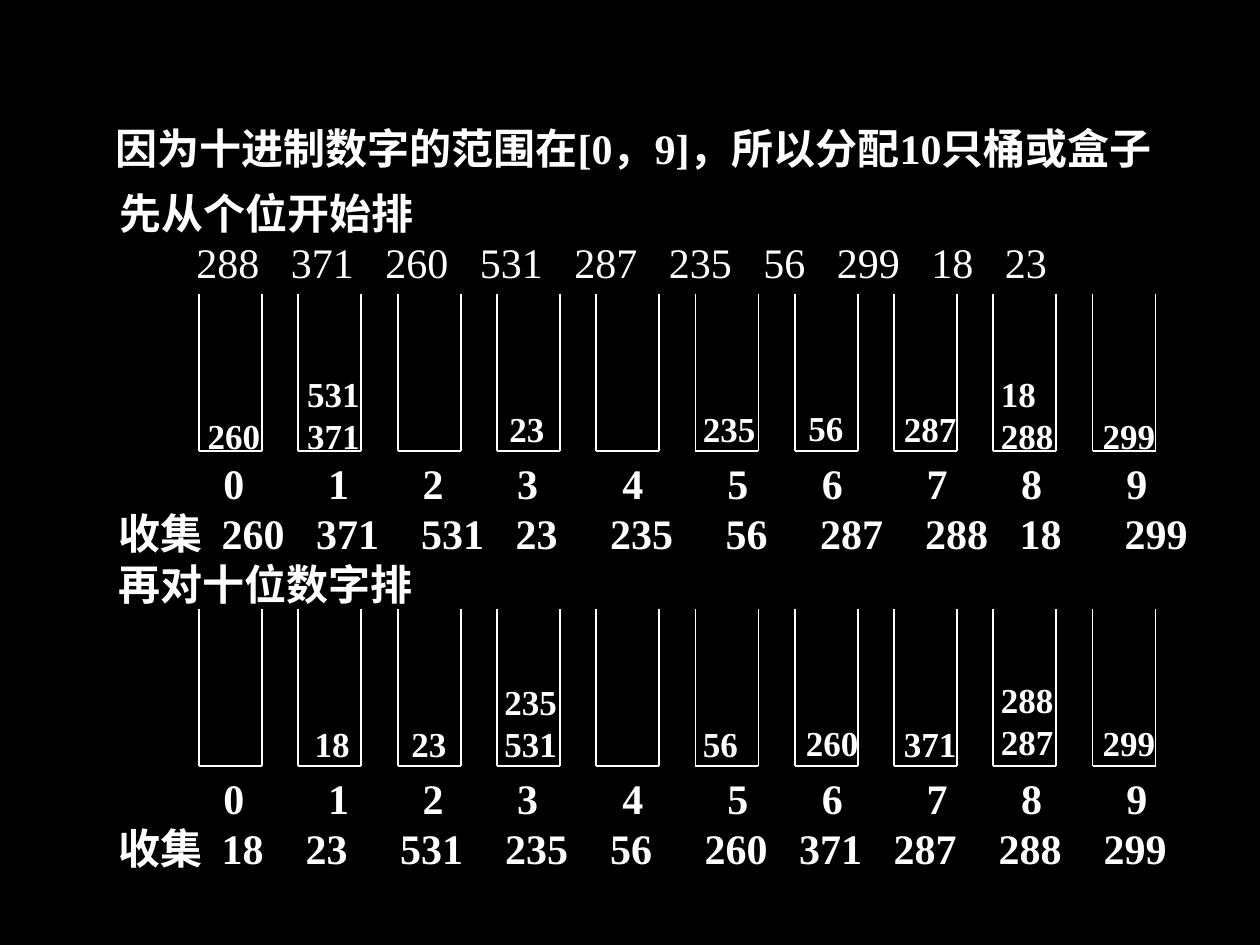
from itertools import accumulate

from lxml.etree import SubElement
from pptx import Presentation
from pptx.dml.color import RGBColor
from pptx.enum.text import MSO_ANCHOR
from pptx.oxml.ns import qn
from pptx.util import Inches, Pt

COLORS = {"background": "000000", "chalk": "FFFFFF"}
FONT = "Times New Roman"
LINE_RATIO = 1.2        # line height as a share of the font size
SPACE = 6 / 72          # width of a space at 24 pt; a digit is twice as wide

# Grid of ten buckets
BUCKET_LEFT, BUCKET_PITCH = 1.58, 0.788
BUCKET_WIDTH, BUCKET_HEIGHT = 0.5, 1.25
PASS_TOPS = (2.33, 4.83)
TEXT_LEFT = 0.84
COLLECT_START = 9.84    # first collected number, in spaces

# Bucket contents: (bucket, shift right, drop below the floor, numbers)
UNITS_CONTENTS = [
    (0, -0.03, 0.09, ["260"]), (1, -0.03, 0.09, ["531", "371"]),
    (3, 0, 0.04, ["23"]), (5, -0.04, 0.04, ["235"]),
    (6, 0.01, 0.03, ["56"]), (7, -0.02, 0.04, ["287"]),
    (8, -0.04, 0.09, ["18", "288"]), (9, -0.02, 0.09, ["299"]),
]
TENS_CONTENTS = [
    (1, 0.03, 0.04, ["18"]), (2, 0.01, 0.04, ["23"]),
    (3, -0.04, 0.04, ["235", "531"]), (5, -0.04, 0.04, ["56"]),
    (6, -0.01, 0.03, ["260"]), (7, -0.02, 0.04, ["371"]),
    (8, -0.04, 0.02, ["288", "287"]), (9, -0.02, 0.03, ["299"]),
]


def color(name):
    return RGBColor.from_string(COLORS[name])


def tabbed_row(values, gaps, start=0, heading=""):
    """Return a row's text and tab stops; start and gaps count spaces."""
    values = values.split()
    steps = [2 * len(value) + gap for value, gap in zip(values, gaps)]
    stops = [stop * SPACE for stop in accumulate(steps, initial=start)]
    text = "\t".join(values)
    if start:
        return heading + "\t" + text, stops
    return text, stops[1:]


def add_tab_stops(paragraph, stops):
    tab_list = SubElement(paragraph._p.get_or_add_pPr(), qn("a:tabLst"))
    for stop in stops:
        SubElement(tab_list, qn("a:tab"), pos=str(Inches(stop)), algn="l")


def add_text(shapes, left, top, width, rows, size=24, bold=True):
    """Add a text box; each row is a string and its tab stops."""
    height = 0.1 + len(rows) * size * LINE_RATIO / 72
    box = shapes.add_textbox(Inches(left), Inches(top), Inches(width), Inches(height))
    frame = box.text_frame
    frame.word_wrap = True
    frame.margin_right = 0
    frame.vertical_anchor = MSO_ANCHOR.TOP
    for index, (text, stops) in enumerate(rows):
        paragraph = frame.paragraphs[0] if index == 0 else frame.add_paragraph()
        paragraph.text = text
        paragraph.line_spacing = Pt(size * LINE_RATIO)
        paragraph.font.name = FONT
        paragraph.font.size = Pt(size)
        paragraph.font.bold = bold
        paragraph.font.color.rgb = color("chalk")
        if stops:
            add_tab_stops(paragraph, stops)


def add_line(shapes, start, end):
    points = [Inches(length) for length in (*start, *end)]
    connector = shapes.add_connector(1, *points)
    connector.line.color.rgb = color("chalk")
    connector.line.width = Pt(1)
    SubElement(connector._element.spPr, qn("a:effectLst"))


def add_bucket(shapes, left, top):
    right, floor = left + BUCKET_WIDTH, top + BUCKET_HEIGHT
    for side in (left, right):
        add_line(shapes, (side, top), (side, floor))
    add_line(shapes, (left, floor), (right, floor))


def add_pass(slide, top, contents):
    """Draw ten buckets and the numbers distributed to them."""
    shapes = slide.shapes.add_group_shape().shapes
    for bucket in range(10):
        add_bucket(shapes, BUCKET_LEFT + bucket * BUCKET_PITCH, top)
    for bucket, shift, drop, numbers in contents:
        left = BUCKET_LEFT + bucket * BUCKET_PITCH + shift
        height = 0.1 + len(numbers) * 20 * LINE_RATIO / 72
        width = 0.61 if len(numbers[-1]) == 3 else 0.48
        add_text(shapes, left, top + BUCKET_HEIGHT + drop - height, width,
                 [(number, []) for number in numbers], size=20)


def main():
    presentation = Presentation()
    presentation.slide_width, presentation.slide_height = Inches(10), Inches(7.5)
    slide = presentation.slides.add_slide(presentation.slide_layouts[6])
    slide.background.fill.solid()
    slide.background.fill.fore_color.rgb = color("background")

    # Introduction and numbers to sort
    add_text(slide.shapes, 0.82, 0.92, 8.9,
             [("因为十进制数字的范围在[0，9]，所以分配10只桶或盒子", [])])
    add_text(slide.shapes, 0.85, 1.44, 2.53, [("先从个位开始排", [])])
    add_text(slide.shapes, 1.46, 1.83, 7.87,
             [tabbed_row("288 371 260 531 287 235 56 299 18 23", [3] * 9)], bold=False)

    # Bucket digits and collected numbers under each pass
    digits = tabbed_row("0 1 2 3 4 5 6 7 8 9", [8, 7, 7, 8, 8, 7, 8, 7, 8], start=10)
    units_collected = tabbed_row("260 371 531 23 235 56 287 288 18 299",
                                 [3, 4, 3, 5, 5, 5, 4, 3, 6], COLLECT_START, "收集")
    tens_collected = tabbed_row("18 23 531 235 56 260 371 287 288 299",
                                [4, 5, 4, 4, 5, 3, 3, 4, 4], COLLECT_START, "收集")
    units_rows = [digits, units_collected, ("再对十位数字排", [])]
    tens_rows = [digits, tens_collected]

    # Units pass, then tens pass
    for top, contents, rows, width in (
        (PASS_TOPS[0], UNITS_CONTENTS, units_rows, 8.69),
        (PASS_TOPS[1], TENS_CONTENTS, tens_rows, 8.52),
    ):
        add_text(slide.shapes, TEXT_LEFT, top + BUCKET_HEIGHT, width, rows)
        add_pass(slide, top, contents)

    presentation.save("out.pptx")


if __name__ == "__main__":
    main()
